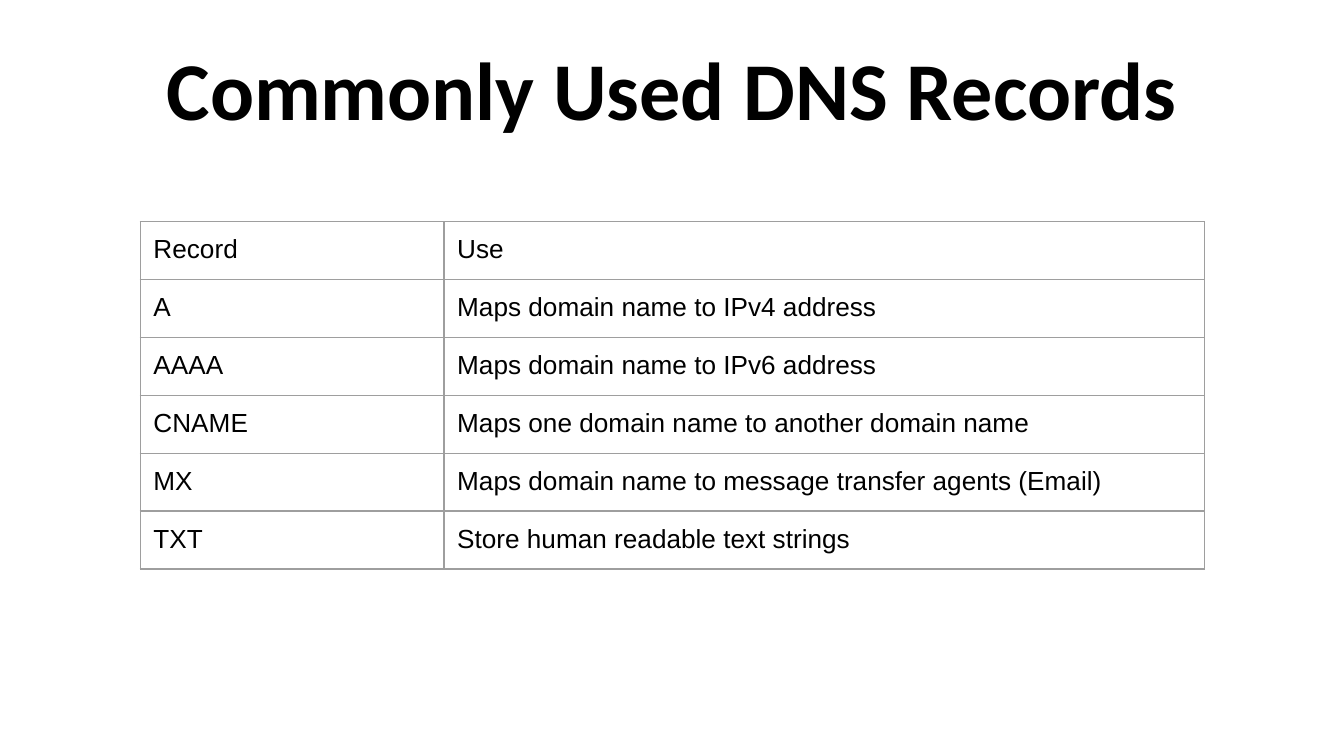
from lxml import etree
from pptx import Presentation
from pptx.dml.color import RGBColor
from pptx.enum.text import MSO_ANCHOR, PP_ALIGN
from pptx.oxml.ns import qn
from pptx.util import Cm, Pt

BOTTOM = MSO_ANCHOR.BOTTOM
CENTER = PP_ALIGN.CENTER
BLANK_LAYOUT = 6
COLORS = {"text": "000000", "border": "9E9E9E"}
INSET = Cm(0.25)
ROW_HEIGHT = Cm(1.06)
COLUMN_WIDTHS = (Cm(5.74), Cm(14.38))
BORDER_WIDTH = Pt(0.75)
RECORDS = [
    ("Record", "Use"),
    ("A", "Maps domain name to IPv4 address"),
    ("AAAA", "Maps domain name to IPv6 address"),
    ("CNAME", "Maps one domain name to another domain name"),
    ("MX", "Maps domain name to message transfer agents (Email)"),
    ("TXT", "Store human readable text strings"),
]


def set_font(paragraph, name, size, bold=False):
    """Style a whole paragraph in the text colour."""
    font = paragraph.font
    font.name, font.size, font.bold = name, Pt(size), bold
    font.color.rgb = RGBColor.from_string(COLORS["text"])


def set_insets(holder):
    """Give a text frame or cell the same margin on every side."""
    holder.margin_left = holder.margin_right = INSET
    holder.margin_top = holder.margin_bottom = INSET


def add_title(slide, text):
    """Add the centred heading."""
    heading = slide.shapes.add_textbox(Cm(0.87), Cm(1.24), Cm(23.67), Cm(1.6))
    frame = heading.text_frame
    frame.word_wrap = True
    frame.vertical_anchor = BOTTOM
    set_insets(frame)
    paragraph = frame.paragraphs[0]
    paragraph.text = text
    paragraph.alignment = CENTER
    set_font(paragraph, "Calibri", 44, bold=True)


def add_borders(cell):
    """Draw a thin line on all four sides of a cell."""
    properties = cell._tc.get_or_add_tcPr()
    for position, side in enumerate(("a:lnL", "a:lnR", "a:lnT", "a:lnB")):
        line = etree.Element(qn(side), w=str(BORDER_WIDTH))
        fill = etree.SubElement(line, qn("a:solidFill"))
        etree.SubElement(fill, qn("a:srgbClr"), val=COLORS["border"])
        properties.insert(position, line)


def fill_cell(cell, text):
    """Write and style one table cell."""
    cell.text = text
    cell.fill.background()
    set_insets(cell)
    set_font(cell.text_frame.paragraphs[0], "Arial", 14)
    add_borders(cell)


def add_record_table(slide, records):
    """Add the table of record types and their uses."""
    table = slide.shapes.add_table(
        len(records), len(COLUMN_WIDTHS), Cm(2.65), Cm(4.19),
        sum(COLUMN_WIDTHS), ROW_HEIGHT * len(records)).table
    table.first_row = table.horz_banding = False
    for column, width in zip(table.columns, COLUMN_WIDTHS):
        column.width = width
    for row, record in zip(table.rows, records):
        row.height = ROW_HEIGHT
        for cell, text in zip(row.cells, record):
            fill_cell(cell, text)


def main():
    """Build and save the slide."""
    presentation = Presentation()
    presentation.slide_width, presentation.slide_height = Cm(25.4), Cm(14.29)
    slide = presentation.slides.add_slide(
        presentation.slide_layouts[BLANK_LAYOUT])
    add_title(slide, "Commonly Used DNS Records")
    add_record_table(slide, RECORDS)
    presentation.save("out.pptx")


if __name__ == "__main__":
    main()
